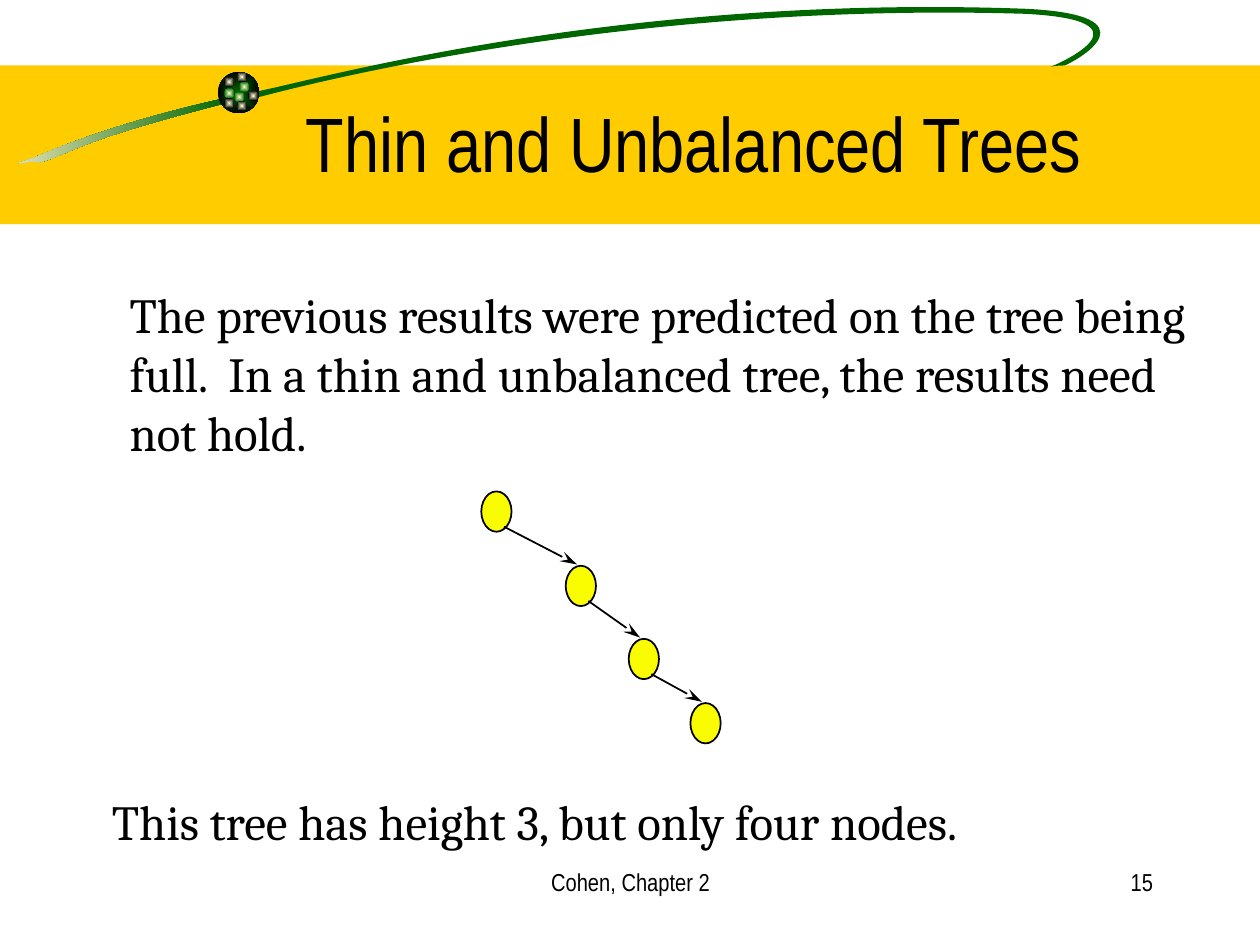
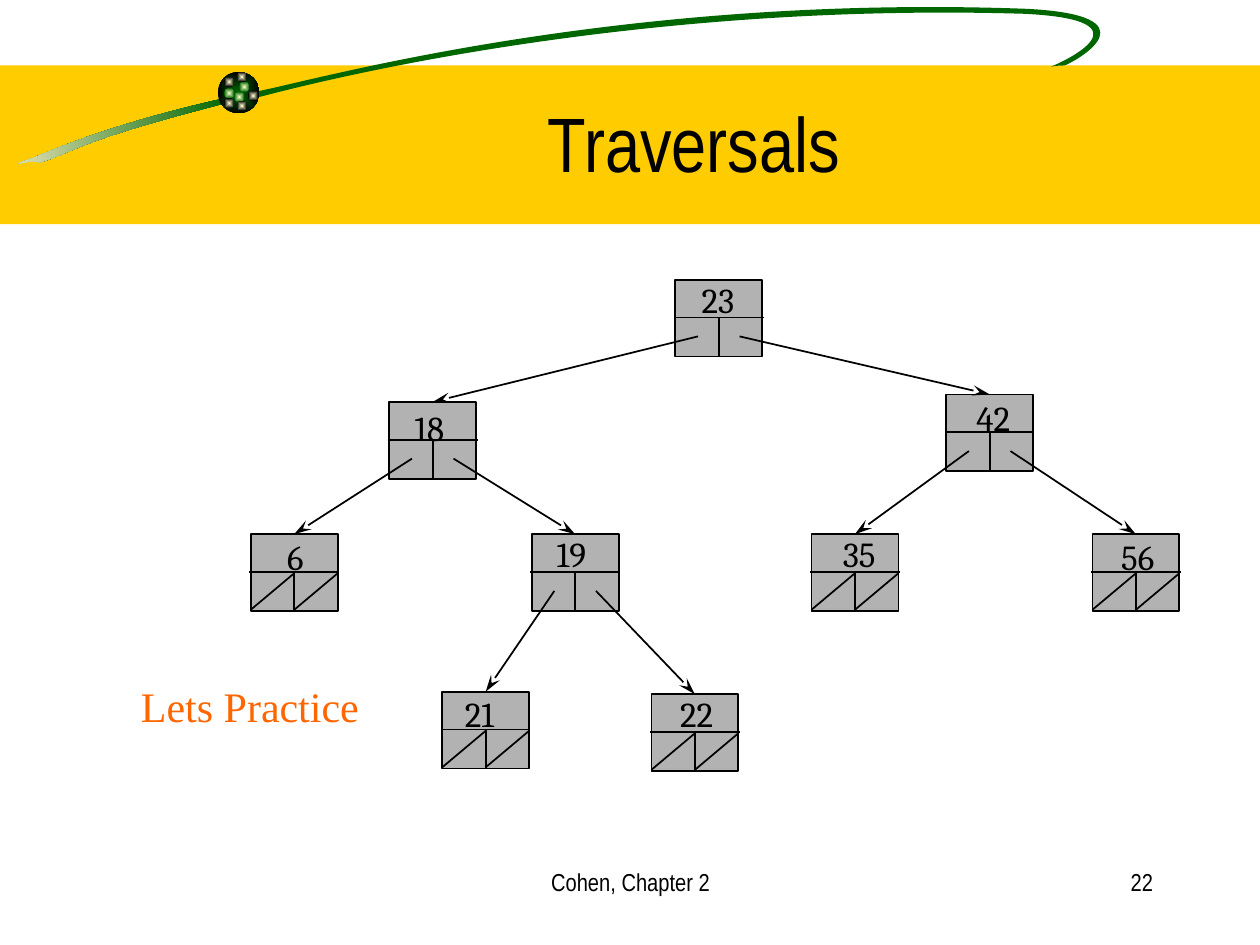
import math

import pptx
import pptx.dml.color
import pptx.enum.shapes
import pptx.enum.text
import pptx.oxml
import pptx.oxml.ns
import pptx.util
from lxml import etree
from pptx.util import Inches

BLACK, WHITE, GREEN, CREAM, YELLOW = "000000", "FFFFFF", "006600", "FFFFCC", "FAFD00"
BAND, SAND, GRAY, ORANGE = "FFCC00", "F5EBC1", "B2B2B2", "FF6600"
HEADING_FONT, BODY_FONT, NOTE_FONT = "Arial Narrow", "Cambria", "Times New Roman"
FOOTER = "Cohen, Chapter 2"
ALIGN = pptx.enum.text.PP_ALIGN
SHAPE = pptx.enum.shapes.MSO_SHAPE
qn = pptx.oxml.ns.qn

# Each outline is a start point followed by cubic curves (two handles, one end).
SWOOSH_TILT = -8.5
SWOOSH_TAIL = [
    (1.78, 0.78),
    (0.91, 0.98), (0.49, 1.16), (0.25, 1.26),
    (0.01, 1.34), (0.26, 1.26), (0.31, 1.29),
    (0.57, 1.22), (0.57, 1.13), (1.79, 0.82),
    (1.79, 0.82), (1.78, 0.78), (1.78, 0.78),
]
SWOOSH_LOOP = [
    (2.02, 0.73),
    (2.46, 0.65), (4.86, -0.05), (8.14, 0.07),
    (9.17, 0.12), (8.57, 0.47), (8.45, 0.52),
    (8.45, 0.52), (8.38, 0.52), (8.34, 0.53),
    (8.44, 0.49), (9.16, 0.16), (8.13, 0.11),
    (5.48, 0.03), (3.2, 0.47), (2.06, 0.77),
    (2.06, 0.77), (2.02, 0.73), (2.02, 0.73),
]
BALL = (1.73, 0.57, 0.33, 0.33)
SPARKLES = [  # left, top, rim colour
    (1.90, 0.65, GREEN), (1.78, 0.61, BLACK), (1.78, 0.70, GREEN), (1.86, 0.73, GREEN),
    (1.97, 0.72, BLACK), (1.88, 0.80, BLACK), (1.78, 0.78, BLACK), (1.88, 0.57, BLACK),
]

THIN_TITLE = "Thin and Unbalanced Trees"
THIN_INTRO = ("The previous results were predicted on the tree being full.  "
              "In a thin and unbalanced tree, the results need not hold.")
THIN_SUMMARY = "This tree has height 3, but only four nodes."
THIN_NODES = [(3.82, 3.90), (4.49, 4.49), (4.99, 5.07), (5.48, 5.58)]

TRAVERSAL_TITLE = "Traversals"
PRACTICE = "Lets Practice"
TREE = {  # key: (node left, top), (label left, top), children
    "23": ((5.36, 2.22), (5.47, 2.16), ("18", "42")),
    "18": ((3.09, 3.19), (3.19, 3.18), ("6", "19")),
    "42": ((7.51, 3.13), (7.65, 3.10), ("35", "56")),
    "6": ((1.99, 4.24), (2.18, 4.20), ()),
    "19": ((4.22, 4.24), (4.32, 4.18), ("21", "22")),
    "35": ((6.44, 4.24), (6.59, 4.18), ()),
    "56": ((8.67, 4.24), (8.80, 4.20), ()),
    "21": ((3.51, 5.49), (3.59, 5.45), ()),
    "22": ((5.17, 5.51), (5.30, 5.45), ()),
}
NODE_WIDTH, NODE_HEIGHT, KEY_HEIGHT = 0.69, 0.61, 0.3
POINTER_STARTS = [(0.18, 0.45), (0.51, 0.45)]


def color(hex_code):
    return pptx.dml.color.RGBColor.from_string(hex_code)


def fill_solid(shape, hex_code):
    shape.fill.solid()
    shape.fill.fore_color.rgb = color(hex_code)


def fill_gradient(shape, first, last, angle=None):
    """Linear gradient at the angle, or one from the centre outwards without it."""
    shape.fill.gradient()
    for stop, hex_code in zip(shape.fill.gradient_stops, (first, last)):
        stop.color.rgb = color(hex_code)
    if angle is not None:
        shape.fill.gradient_angle = angle
        return
    linear = shape._element.spPr.find(".//" + qn("a:lin"))
    centre = pptx.oxml.parse_xml(
        f'<a:path {pptx.oxml.ns.nsdecls("a")} path="rect">'
        '<a:fillToRect l="50000" t="50000" r="50000" b="50000"/></a:path>')
    linear.getparent().replace(linear, centre)


def add_shape(slide, kind, box, fill=None, outlined=False):
    shape = slide.shapes.add_shape(kind, *map(Inches, box))
    shape.shadow.inherit = False
    if fill:
        fill_solid(shape, fill)
    if outlined:
        shape.line.color.rgb = color(BLACK)
        shape.line.width = pptx.util.Pt(1)
    else:
        shape.line.fill.background()
    return shape


def add_line(slide, start, end, arrow=False):
    line = slide.shapes.add_connector(
        pptx.enum.shapes.MSO_CONNECTOR.STRAIGHT, *map(Inches, (*start, *end)))
    line.line.color.rgb = color(BLACK)
    line.line.width = pptx.util.Pt(1)
    if arrow:
        etree.SubElement(line.line._get_or_add_ln(), qn("a:tailEnd"),
                         type="stealth", w="med", len="lg")
    etree.SubElement(line._element.spPr, qn("a:effectLst"))
    return line


def add_text(slide, text, box, size, font, hex_code=BLACK, align=ALIGN.LEFT,
             middle=False, wrap=True):
    text_box = slide.shapes.add_textbox(*map(Inches, box))
    frame = text_box.text_frame
    frame.word_wrap = wrap
    if middle:
        frame.vertical_anchor = pptx.enum.text.MSO_ANCHOR.MIDDLE
    paragraph = frame.paragraphs[0]
    paragraph.alignment = align
    run = paragraph.add_run()
    run.text = text
    run.font.size = pptx.util.Pt(size)
    run.font.name = font
    run.font.color.rgb = color(hex_code)


def rotate(x, y, degrees):
    """Turn a point clockwise about the slide's top left corner."""
    cosine, sine = math.cos(math.radians(degrees)), math.sin(math.radians(degrees))
    return x * cosine - y * sine, x * sine + y * cosine


def add_swoosh(slide, outline):
    """Draw the cubic outline level, then tilt it back into its place."""
    points = [rotate(Inches(x), Inches(y), -SWOOSH_TILT) for x, y in outline]
    builder = slide.shapes.build_freeform(*points[0])
    builder.add_line_segments(points[1:], close=True)
    swoosh = builder.convert_to_shape()
    segments = list(swoosh._element.iter(qn("a:lnTo")))
    for first, second, third in zip(*[iter(segments)] * 3):
        curve = etree.Element(qn("a:cubicBezTo"))
        first.addprevious(curve)
        for segment in (first, second, third):
            curve.append(segment[0])
            segment.getparent().remove(segment)
    center_x, center_y = rotate(swoosh.left + swoosh.width / 2,
                                swoosh.top + swoosh.height / 2, SWOOSH_TILT)
    swoosh.left = round(center_x - swoosh.width / 2)
    swoosh.top = round(center_y - swoosh.height / 2)
    swoosh.rotation = SWOOSH_TILT
    swoosh.shadow.inherit = False
    swoosh.line.fill.background()
    return swoosh


def add_base_slide(presentation, title):
    """Slide with the band, swoosh, ball, pale column and title."""
    slide = presentation.slides.add_slide(presentation.slide_layouts[6])
    add_shape(slide, SHAPE.RECTANGLE, (0, 0.52, 10, 1.26), BAND)
    fill_gradient(add_swoosh(slide, SWOOSH_TAIL), GREEN, SAND, 180)
    fill_solid(add_swoosh(slide, SWOOSH_LOOP), GREEN)
    fill_gradient(add_shape(slide, SHAPE.OVAL, BALL), GREEN, BLACK)
    for left, top, rim in SPARKLES:
        fill_gradient(add_shape(slide, SHAPE.OVAL, (left, top, 0.08, 0.08)), CREAM, rim)
    column = add_shape(slide, SHAPE.RECTANGLE, (0.74, 2.06, 1.22, 5.44), WHITE)
    tint = column._element.spPr.find(".//" + qn("a:srgbClr"))
    etree.SubElement(tint, qn("a:alpha"), val="50000")
    add_text(slide, title, (1.26, 0.5, 8.5, 1.25), 44, HEADING_FONT,
             align=ALIGN.CENTER, middle=True)
    return slide


def add_footers(slide, number):
    add_text(slide, FOOTER, (3.42, 6.83, 3.17, 0.5), 14, HEADING_FONT, align=ALIGN.CENTER)
    add_text(slide, str(number), (7.17, 6.83, 2.08, 0.5), 14, HEADING_FONT, align=ALIGN.RIGHT)


def add_thin_tree(slide):
    for left, top in THIN_NODES:
        add_shape(slide, SHAPE.OVAL, (left, top, 0.24, 0.32), YELLOW, outlined=True)
    for (left, top), (next_left, next_top) in zip(THIN_NODES, THIN_NODES[1:]):
        add_line(slide, (left + 0.18, top + 0.28), (next_left + 0.09, next_top - 0.01), arrow=True)


def add_tree_node(slide, left, top):
    """Key cell above two pointer cells."""
    box = add_shape(slide, SHAPE.RECTANGLE, (left, top, NODE_WIDTH, NODE_HEIGHT),
                    GRAY, outlined=True)
    middle, divider = left + NODE_WIDTH / 2, top + KEY_HEIGHT
    add_line(slide, (left - 0.01, divider), (left + NODE_WIDTH + 0.01, divider))
    add_line(slide, (middle, divider), (middle, top + NODE_HEIGHT))
    return box


def strike_pointers(slide, left, top):
    """Diagonals through both pointer cells of a leaf."""
    cell_width = NODE_WIDTH / 2
    for cell_left in (left, left + cell_width):
        add_line(slide, (cell_left, top + NODE_HEIGHT - 0.01),
                 (cell_left + cell_width, top + KEY_HEIGHT + 0.01))


def add_search_tree(slide):
    boxes = {key: add_tree_node(slide, *place) for key, (place, _, _) in TREE.items()}
    for (left, top), _, children in TREE.values():
        for child, (dx, dy) in zip(children, POINTER_STARTS):
            start = (left + dx, top + dy)
            add_line(slide, start, TREE[child][0], arrow=True).end_connect(boxes[child], 0)
    for place, _, children in TREE.values():
        if not children:
            strike_pointers(slide, *place)
    for key, (_, place, _) in TREE.items():
        width = 0.2 + 0.155 * len(key)
        add_text(slide, key, (*place, width, 0.43), 20, BODY_FONT, wrap=False)


def main():
    presentation = pptx.Presentation()
    presentation.slide_width, presentation.slide_height = Inches(10), Inches(7.5)

    thin_slide = add_base_slide(presentation, THIN_TITLE)
    add_thin_tree(thin_slide)
    add_text(thin_slide, THIN_INTRO, (0.93, 2.21, 8.92, 1.5), 28, BODY_FONT)
    add_text(thin_slide, THIN_SUMMARY, (0.79, 6.23, 8.73, 0.57), 28, BODY_FONT)
    add_footers(thin_slide, 15)

    traversal_slide = add_base_slide(presentation, TRAVERSAL_TITLE)
    add_search_tree(traversal_slide)
    add_text(traversal_slide, PRACTICE, (1.02, 5.35, 3, 0.5), 24, NOTE_FONT, ORANGE)
    add_footers(traversal_slide, 22)

    presentation.save("out.pptx")


if __name__ == "__main__":
    main()
